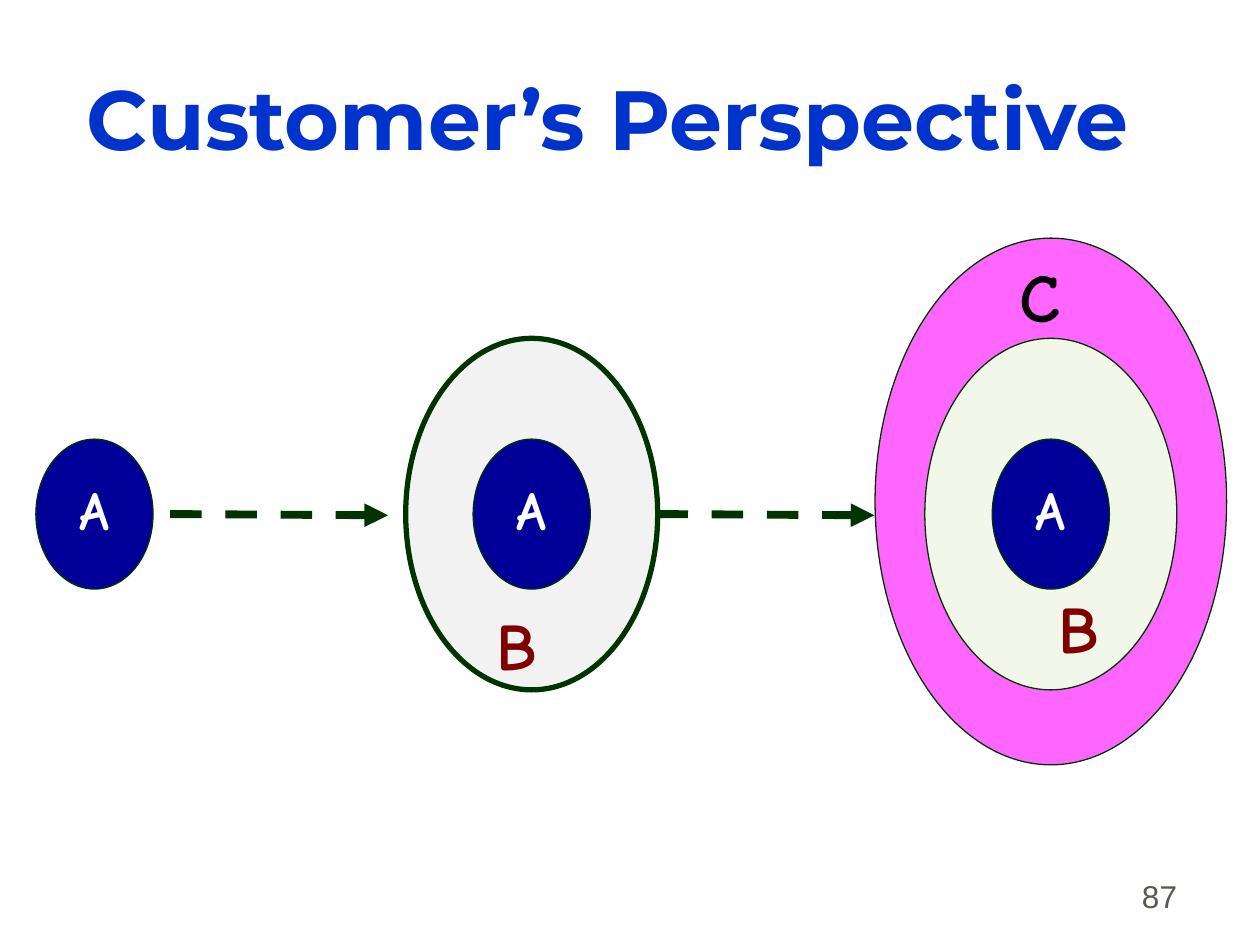
import pptx
import pptx.util
import pptx.dml.color
import pptx.enum.dml
import pptx.enum.shapes
import pptx.enum.text
import pptx.oxml
from pptx.util import Inches

GREEN = "003300"
MIDDLE = 4.08
CORE = {"size": (0.93, 1.19), "fill": "000099", "label": "A"}
MIDDLE_RING = {"size": (2, 2.79), "fill": "F2F2F2", "line_width": 3}
PALE_RING = {"size": (2, 2.79), "fill": "F1F7E9"}
OUTER_RING = {"size": (2.79, 4.18), "fill": "FF66FF", "rise": 0.1}
STAGES = [
    (0.75, [CORE]),
    (4.22, [MIDDLE_RING, CORE]),
    (8.34, [OUTER_RING, PALE_RING, CORE]),
]
ARROWS = [(1.35, 3.08), (5.21, 6.94)]
RING_LABELS = [
    ("C", 8.07, 2.07, 39, "000000"),
    ("B", 8.38, 4.71, 38, "800000"),
    ("B", 3.92, 4.84, 38, "800000"),
]


def rgb(value):
    """Turn a hex string into a colour."""
    return pptx.dml.color.RGBColor.from_string(value)


def write_text(shape, text, size, color, font="Comic Neue", bold=True, align="LEFT",
               anchor="TOP", spacing=0.85, side_inset=0.02):
    """Put one formatted paragraph into a shape."""
    frame = shape.text_frame
    frame.word_wrap = True
    frame.auto_size = pptx.enum.text.MSO_AUTO_SIZE.NONE
    frame.vertical_anchor = pptx.enum.text.MSO_ANCHOR[anchor]
    frame.margin_left = frame.margin_right = Inches(side_inset)
    frame.margin_top = frame.margin_bottom = Inches(0.05)
    paragraph = frame.paragraphs[0]
    paragraph.alignment = pptx.enum.text.PP_ALIGN[align]
    paragraph.line_spacing = spacing
    paragraph.space_before = pptx.util.Pt(0)
    run = paragraph.add_run()
    run.text = text
    run.font.name = font
    run.font.size = pptx.util.Pt(size)
    run.font.bold = bold
    run.font.color.rgb = rgb(color)


def add_ellipse(slide, center, size, fill, line_width=0.75, rise=0, label=None):
    """Draw an ellipse around a stage centre."""
    width, height = size
    shape = slide.shapes.add_shape(
        pptx.enum.shapes.MSO_SHAPE.OVAL, Inches(center - width / 2),
        Inches(MIDDLE - rise - height / 2), Inches(width), Inches(height))
    shape.shadow.inherit = False
    shape.fill.solid()
    shape.fill.fore_color.rgb = rgb(fill)
    shape.line.color.rgb = rgb(GREEN)
    shape.line.width = pptx.util.Pt(line_width)
    if label:
        write_text(shape, label, 31, "FFFFFF", align="CENTER", anchor="MIDDLE")


def add_arrow(slide, start, end):
    """Draw a dashed arrow along the middle line."""
    arrow = slide.shapes.add_connector(
        pptx.enum.shapes.MSO_CONNECTOR.STRAIGHT, Inches(start), Inches(MIDDLE),
        Inches(end), Inches(MIDDLE + 0.01))
    arrow.line.color.rgb = rgb(GREEN)
    arrow.line.width = pptx.util.Pt(4.5)
    arrow.line.dash_style = pptx.enum.dml.MSO_LINE.DASH
    namespace = pptx.oxml.ns.nsdecls("a")
    arrow.line._get_or_add_ln().append(
        pptx.oxml.parse_xml(f'<a:tailEnd {namespace} type="triangle"/>'))
    arrow._element.spPr.append(pptx.oxml.parse_xml(f"<a:effectLst {namespace}/>"))


def add_label(slide, text, left, top, width, height, size, color, **text_format):
    """Add a text box holding one line."""
    box = slide.shapes.add_textbox(Inches(left), Inches(top), Inches(width), Inches(height))
    write_text(box, text, size, color, **text_format)


def main():
    """Build and save the slide."""
    presentation = pptx.Presentation()
    presentation.slide_width, presentation.slide_height = Inches(10), Inches(7.5)
    slide = presentation.slides.add_slide(presentation.slide_layouts[5])
    title = slide.shapes.title
    title.left, title.top = Inches(0.67), Inches(0.35)
    title.width, title.height = Inches(8.53), Inches(1.24)
    write_text(title, "Customer’s Perspective", 48, "0033CC", font="Montserrat",
               anchor="MIDDLE", spacing=0.94)
    for center, ellipses in STAGES:
        for ellipse in ellipses:
            add_ellipse(slide, center, **ellipse)
    for start, end in ARROWS:
        add_arrow(slide, start, end)
    for text, left, top, size, color in RING_LABELS:
        add_label(slide, text, left, top, 0.66, 1.19, size, color)
    add_label(slide, "87", 7.36, 6.81, 2.08, 0.5, 18, "5E574E", font="Arial", bold=False,
              align="RIGHT", anchor="BOTTOM", spacing=1.0, side_inset=0.1)
    presentation.save("out.pptx")


if __name__ == "__main__":
    main()
